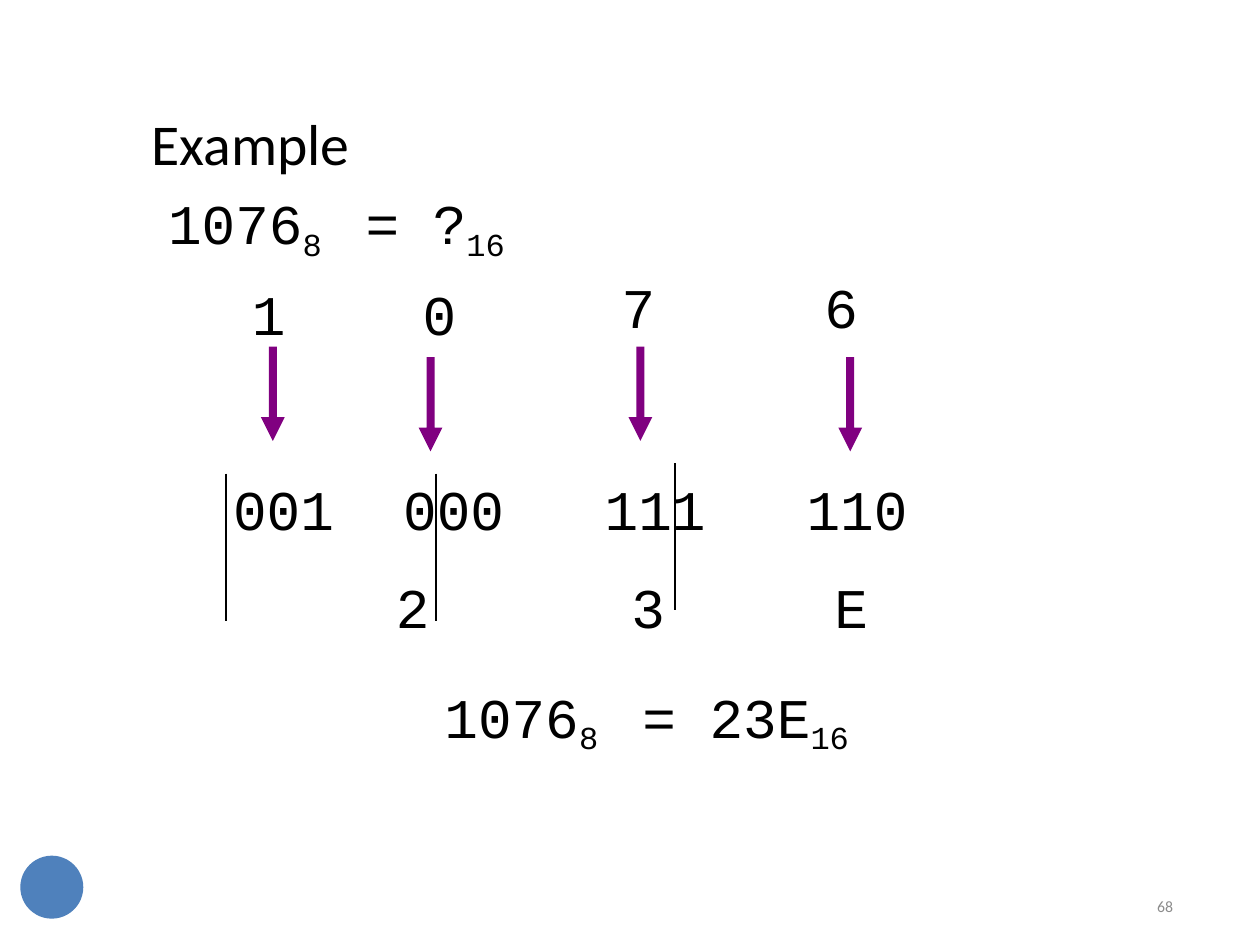
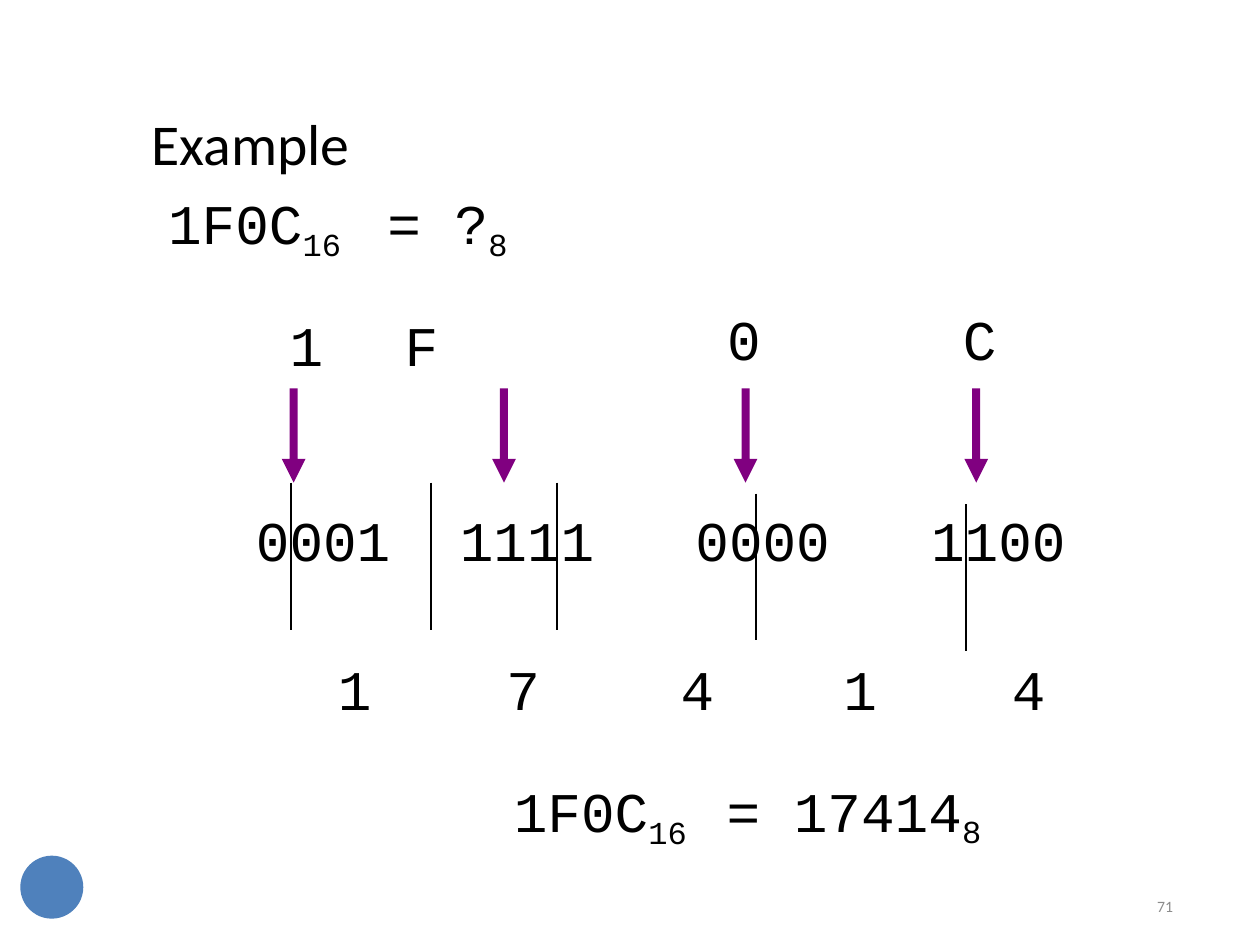
from lxml.etree import SubElement
from pptx import Presentation
from pptx.dml.color import RGBColor
from pptx.enum.shapes import MSO_CONNECTOR, MSO_SHAPE
from pptx.enum.text import MSO_ANCHOR, MSO_AUTO_SIZE, PP_ALIGN
from pptx.oxml.ns import qn
from pptx.util import Cm, Pt

BLACK, PURPLE, BLUE, GRAY = "000000", "800080", "4F81BC", "8C8C8C"
CODE = {"name": "Courier New", "size": Pt(32)}
TITLE = {"name": "Calibri", "size": Pt(33)}
NUMBER = {"name": "Calibri", "size": Pt(9)}
ARROW = [(-0.08, 0), (0.08, 0), (0.08, 1.42), (0.24, 1.42),
         (0, 1.9), (-0.24, 1.42), (-0.08, 1.42)]
DIVIDER_LENGTH = 2.96
DIGIT_SIZE = (0.76, 1.42)

SLIDES = [
    {
        "number": "68",
        "blocks": [
            {"at": (3.25, 3.43, 7.1, 3.45), "inset": 0.38, "paras": [
                {"text": "1076|8|\t= ?|16|", "indent": 0.14, "tabs": [3.98]},
                {"text": "1\t0", "indent": 1.83, "before": 9.6, "tabs": [5.17]}]},
            {"at": (4.67, 8.89, 13.64, 4.04), "inset": 0.67, "paras": [
                {"text": "001\t000\t111\t110", "tabs": [3.43, 7.49, 11.56]},
                {"text": "E", "before": 17.9, "align": PP_ALIGN.RIGHT,
                 "right": 0.81}]},
            {"at": (8.81, 13.72, 8.43, 1.42), "paras": [
                {"text": "1076|8|\t= 23E|16|", "indent": 0.15, "tabs": [3.99]}]},
        ],
        "digits": [("7", 12.5, 5.46), ("6", 16.59, 5.46),
                   ("2", 7.95, 11.51), ("3", 12.7, 11.51)],
        "arrows": [(5.5, 6.99), (8.68, 7.2), (12.91, 6.99), (17.14, 7.2)],
        "dividers": [(4.55, 9.55), (8.79, 9.55), (13.61, 9.34)],
    },
    {
        "number": "71",
        "blocks": [
            {"at": (3.25, 3.77, 7.5, 3.76), "paras": [
                {"text": "1F0C|16|\t= ?|8|", "indent": 0.14, "tabs": [4.42]},
                {"text": "1\tF", "indent": 2.59, "before": 27.6, "tabs": [4.78]}]},
            {"at": (5.13, 10.16, 16.36, 1.42), "paras": [
                {"text": "0001\t1111\t0000\t1100", "tabs": [4.11, 8.86, 13.61]}]},
            {"at": (10.11, 13.16, 4.29, 3.89), "paras": [
                {"text": "7\t4", "indent": 0.1, "tabs": [3.51]},
                {"text": "1F0C|16|", "indent": 0.25, "before": 31.4}]},
            {"at": (14.55, 15.62, 5.41, 1.42), "paras": [
                {"text": "= 17414|8|", "indent": 0.1}]},
        ],
        "digits": [("0", 14.63, 6.1), ("C", 19.38, 6.1), ("1", 6.78, 13.16),
                   ("1", 16.97, 13.16), ("4", 20.37, 13.16)],
        "arrows": [(5.92, 7.83), (10.16, 7.83), (15.03, 7.83), (19.68, 7.83)],
        "dividers": [(5.87, 9.73), (8.69, 9.73), (11.23, 9.73),
                     (15.24, 9.95), (19.48, 10.16)],
    },
]


def rgb(color):
    return RGBColor.from_string(color)


def apply(target, values):
    for name, value in values.items():
        setattr(target, name, value)


def add_runs(p, text, font, color):
    for i, part in enumerate(text.split("|")):
        if not part:
            continue
        r = p.add_run()
        r.text = part
        apply(r.font, font)
        r.font.color.rgb = rgb(color)
        if i % 2:
            r.font.size = Pt(31.5)
            r._r.get_or_add_rPr().set("baseline", "-21000")


def add_text(s, at, paras, font=CODE, color=BLACK, inset=0.03,
             anchor=MSO_ANCHOR.TOP):
    tf = s.shapes.add_textbox(*map(Cm, at)).text_frame
    apply(tf, {"word_wrap": True, "auto_size": MSO_AUTO_SIZE.SHAPE_TO_FIT_TEXT,
               "vertical_anchor": anchor, "margin_left": 0, "margin_right": 0,
               "margin_top": Cm(inset), "margin_bottom": 0})
    for i, para in enumerate(paras):
        p = tf.add_paragraph() if i else tf.paragraphs[0]
        apply(p, {"alignment": para.get("align", PP_ALIGN.LEFT),
                  "space_before": Pt(para.get("before", 0))})
        if "line" in para:
            p.line_spacing = Pt(para["line"])
        pPr = p._p.get_or_add_pPr()
        pPr.set("marL", str(Cm(para.get("indent", 0.03))))
        pPr.set("marR", str(Cm(para.get("right", 0))))
        if "tabs" in para:
            tabs = SubElement(pPr, qn("a:tabLst"))
            for pos in para["tabs"]:
                SubElement(tabs, qn("a:tab"), pos=str(Cm(pos)), algn="l")
        add_runs(p, para["text"], font, color)


def paint(sp, color):
    sp.shadow.inherit = False
    sp.fill.solid()
    sp.fill.fore_color.rgb = rgb(color)
    sp.line.fill.background()


def add_arrow(s, x, y):
    start, *rest = [(Cm(x + dx), Cm(y + dy)) for dx, dy in ARROW]
    outline = s.shapes.build_freeform(*start)
    outline.add_line_segments(rest, close=True)
    paint(outline.convert_to_shape(), PURPLE)


def add_divider(s, x, y):
    line = s.shapes.add_connector(MSO_CONNECTOR.STRAIGHT,
                                  Cm(x), Cm(y), Cm(x), Cm(y + DIVIDER_LENGTH))
    line.line.color.rgb = rgb(BLACK)
    line.line.width = Pt(0.96)
    SubElement(line._element.spPr, qn("a:effectLst"))


def add_frame(s, number):
    add_text(s, (1.75, 1.02, 21.9, 3.68), [{"text": "Example", "indent": 1.3}],
             TITLE, anchor=MSO_ANCHOR.MIDDLE)
    paint(s.shapes.add_shape(MSO_SHAPE.OVAL, Cm(0.41), Cm(17.25),
                             Cm(1.27), Cm(1.27)), BLUE)
    add_text(s, (17.93, 17.65, 5.72, 1.02),
             [{"text": number, "align": PP_ALIGN.RIGHT, "line": 16.5}],
             NUMBER, GRAY, 0, MSO_ANCHOR.MIDDLE)


def main():
    prs = Presentation()
    prs.slide_width, prs.slide_height = Cm(25.4), Cm(19.05)
    for content in SLIDES:
        s = prs.slides.add_slide(prs.slide_layouts[6])
        add_frame(s, content["number"])
        for block in content["blocks"]:
            add_text(s, **block)
        for digit, x, y in content["digits"]:
            add_text(s, (x, y, *DIGIT_SIZE), [{"text": digit}])
        for x, y in content["arrows"]:
            add_arrow(s, x, y)
        for x, y in content["dividers"]:
            add_divider(s, x, y)
    prs.save("out.pptx")


if __name__ == "__main__":
    main()
